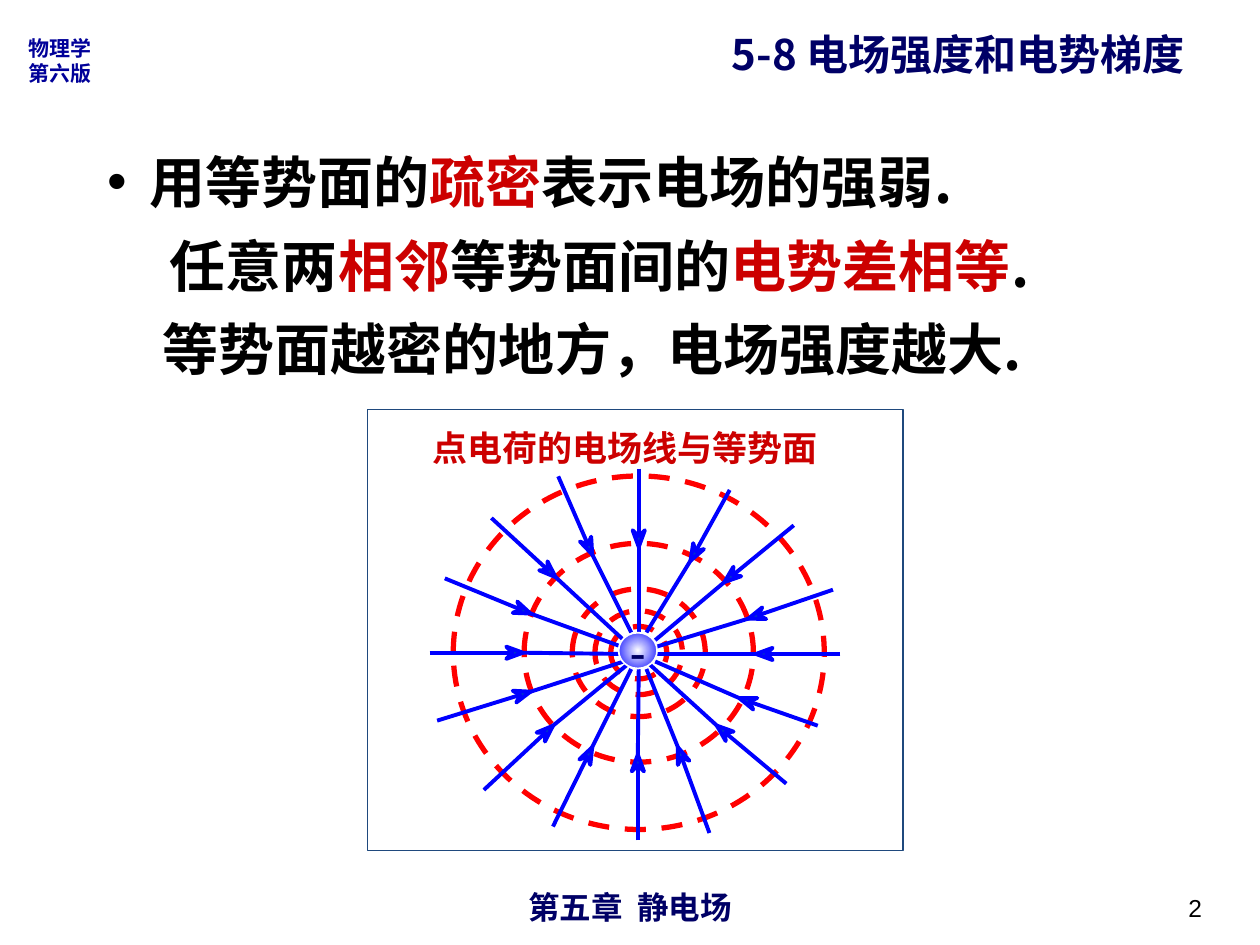
from math import hypot
from lxml import etree
from pptx import Presentation
from pptx.dml.color import RGBColor
from pptx.enum.dml import MSO_LINE
from pptx.enum.shapes import MSO_CONNECTOR, MSO_SHAPE
from pptx.enum.text import MSO_ANCHOR, MSO_AUTO_SIZE, PP_ALIGN
from pptx.oxml.ns import qn
from pptx.util import Pt

LEFT, MID, RIGHT = PP_ALIGN.LEFT, PP_ALIGN.CENTER, PP_ALIGN.RIGHT
TOP, CENTER = MSO_ANCHOR.TOP, MSO_ANCHOR.MIDDLE
OVAL, RECT = MSO_SHAPE.OVAL, MSO_SHAPE.RECTANGLE
DASH, LINE = MSO_LINE.DASH, MSO_CONNECTOR.STRAIGHT
SANS, ARIAL, TIMES = "Noto Sans CJK SC", "Arial", "Times New Roman"
NAVY, BLUE, RED, BLACK = "000066", "0000FF", "CC0000", "000000"

# Content: a line is a list of (text, colour) runs
TITLE = [[("5-8 电场强度和电势梯度", NAVY)]]
BOOK = [[("物理学", "000099")], [("第六版", "000099")]]
CHAPTER = [[("第五章  静电场", NAVY)]]
NUMBER = [[("2", BLACK)]]
POINT = [[("用等势面的", BLACK), ("疏密", RED), ("表示电场的强弱.", BLACK)]]
EQUAL = [[("任意两", BLACK), ("相邻", RED), ("等势面间的", BLACK),
          ("电势差相等", RED), (".", BLACK)]]
DENSE = [[("等势面越密的地方，电场强度越大.", BLACK)]]
CAPTION = [[("点电荷的电场线与等势面", RED)]]
CHARGE = [[("-", NAVY)]]

# Equipotential circles: centre, then (width, height)
HUB = (365, 373)
RINGS = [(212, 202), (131, 125), (76, 73), (50, 48), (32, 30)]

# Field lines, clockwise from the west: outer end, arrow tip, inner end
RAYS = [
    ((245.5, 373), (298.8, 373), (356.4, 373.7)),
    ((254.2, 330.5), (303.1, 350.6), (356.4, 370)),
    ((280.8, 296), (317.5, 329.8), (356.4, 365.8)),
    ((319, 272.2), (338.4, 316.8), (360.7, 361.4)),
    ((365, 267.8), (365, 312.5), (365, 361.4)),
    ((417, 280), (394.6, 320.4), (369.4, 361.4)),
    ((453.6, 300.2), (414, 332.6), (374.4, 365.8)),
    ((476, 337), (427.7, 353.5), (373.7, 370)),
    ((480.2, 373.7), (432, 373.7), (374.4, 373.7)),
    ((467.3, 414.7), (422.6, 399), (374.4, 378)),
    ((449.3, 447.8), (409.7, 414.7), (369.4, 378)),
    ((405.4, 476), (387.4, 427), (369.4, 382.3)),
    ((364.5, 480.2), (364.5, 431.3), (365, 382.3)),
    ((316, 472.3), (338.4, 427), (360.7, 382.3)),
    ((276.5, 451.4), (316, 414.7), (360.7, 378)),
    ((249.8, 411.8), (303.1, 395.3), (356.4, 378)),
]
HEAD, NOTCH, HALF = 9.5, 6, 3.5

deck = Presentation()
deck.slide_width, deck.slide_height = Pt(720), Pt(540)
slide = deck.slides.add_slide(deck.slide_layouts[1])
shapes = slide.shapes


def tint(hue):
    return RGBColor.from_string(hue)


def place(shape, box):
    shape.left, shape.top, shape.width, shape.height = map(Pt, box)


def write(shape, lines, size, font, bold=True, align=LEFT, anchor=TOP,
          space=None, wrap=True):
    frame = shape.text_frame
    frame.word_wrap, frame.vertical_anchor = wrap, anchor
    frame.auto_size = MSO_AUTO_SIZE.NONE
    for i, line in enumerate(lines):
        para = frame.add_paragraph() if i else frame.paragraphs[0]
        para.alignment, para.line_spacing = align, space
        para.space_before = Pt(0)
        para.font.size, para.font.name = Pt(size), font
        para.font.bold = bold
        for text, hue in line:
            run = para.add_run()
            run.text = text
            run.font.color.rgb = tint(hue)


def label(box, lines, size, font, **style):
    shape = shapes.add_textbox(*map(Pt, box))
    write(shape, lines, size, font, **style)
    return shape


def indent(shape, left, hang=0, mark=None):
    props = shape.text_frame.paragraphs[0]._p.get_or_add_pPr()
    props.set("marL", str(Pt(left)))
    props.set("indent", str(Pt(-hang)))
    if mark:
        etree.SubElement(props, qn("a:buFont")).set("typeface", ARIAL)
        etree.SubElement(props, qn("a:buChar")).set("char", mark)


def edge(shape, hue, width):
    shape.line.color.rgb, shape.line.width = tint(hue), Pt(width)


def draw(kind, box):
    shape = shapes.add_shape(kind, *map(Pt, box))
    shape.shadow.inherit = False
    return shape


def link(start, end):
    wire = shapes.add_connector(LINE, *map(Pt, start + end))
    edge(wire, BLUE, 2.25)
    etree.SubElement(wire._element.spPr, qn("a:effectLst"))


def arrow(start, tip):
    dx, dy = tip[0] - start[0], tip[1] - start[1]
    span = hypot(dx, dy)
    ux, uy = dx / span, dy / span

    def spot(back, side):
        return (Pt(tip[0] - back * ux - side * uy),
                Pt(tip[1] - back * uy + side * ux))

    path = shapes.build_freeform(*spot(0, 0), scale=1.0)
    path.add_line_segments(
        [spot(HEAD, HALF), spot(NOTCH, 0), spot(HEAD, -HALF)], close=True)
    head = path.convert_to_shape()
    head.shadow.inherit = False
    head.fill.solid()
    head.fill.fore_color.rgb = tint("0033CC")
    edge(head, BLUE, 2.25)


# Header and footer
place(shapes.title, (411, 7, 303, 42))
write(shapes.title, TITLE, 24, SANS, space=1.2)
label((9.5, 16.5, 52, 36), BOOK, 12, SANS)
label((246, 504, 228, 21), CHAPTER, 18, ARIAL, align=MID)
label((526, 507, 168, 32), NUMBER, 14, ARIAL, bold=False, align=RIGHT)

# Statements
body = slide.placeholders[1]
place(body, (54, 73, 528, 53))
indent(body, 24, 24, "•")
write(body, POINT, 32, SANS, space=1.2)
label((90, 121, 528, 53), EQUAL, 32, SANS, space=1.2)
dense = label((72, 168.5, 528, 53), DENSE, 32, SANS, space=1.2)
indent(dense, 14)

# Diagram frame and caption
frame = draw(RECT, (210, 234, 306, 252))
frame.fill.solid()
frame.fill.fore_color.rgb = tint("FFFFFF")
edge(frame, "1F497D", 0.75)
label((240, 240, 265, 32), CAPTION, 20, TIMES)

# Circles
for wide, high in RINGS:
    ring = draw(OVAL, (HUB[0] - wide / 2, HUB[1] - high / 2, wide, high))
    ring.fill.background()
    edge(ring, "FF0000", 3)
    ring.line.dash_style = DASH

# Field lines
for outer, tip, inner in RAYS:
    link(outer, tip)
    link(tip, inner)
    arrow(outer, tip)

# Charge
ball = draw(OVAL, (353.5, 361.5, 22, 20.5))
ball.fill.gradient()
for stop, hue in zip(ball.fill.gradient_stops, ("FFFFFF", BLUE)):
    stop.color.rgb = tint(hue)
grad = ball._element.spPr.find(qn("a:gradFill"))
grad.remove(grad.find(qn("a:lin")))
glow = etree.SubElement(grad, qn("a:path"), path="circle")
etree.SubElement(glow, qn("a:fillToRect"), l="50000", t="50000",
                 r="50000", b="50000")
edge(ball, "FFFFFF", 1)
write(ball, CHARGE, 28, ARIAL, bold=False, align=MID, anchor=CENTER,
      wrap=False)

deck.save("out.pptx")
